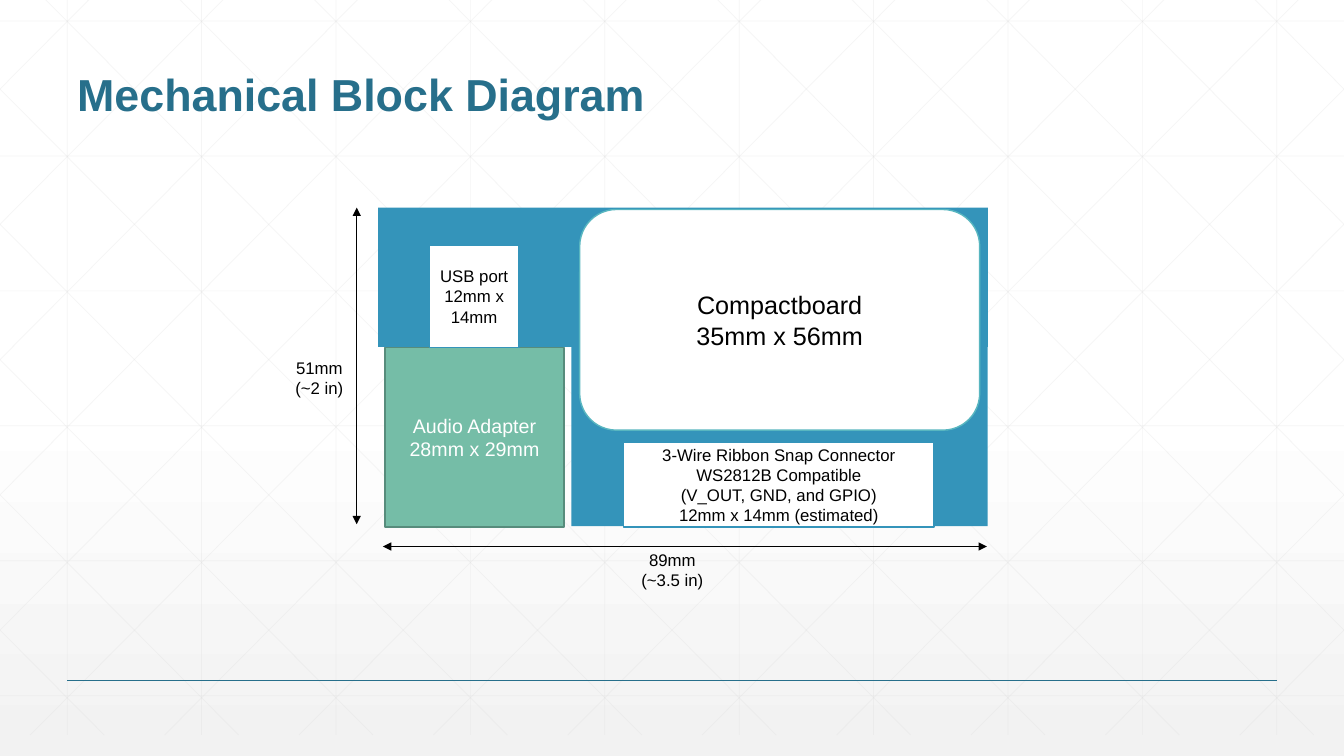
from lxml import etree
from pptx import Presentation
from pptx.dml.color import RGBColor
from pptx.enum import shapes, text
from pptx.oxml import ns
from pptx.util import Cm, Pt

WHITE = RGBColor(0xFF, 0xFF, 0xFF)
BLACK = RGBColor(0, 0, 0)
PALE_GREY = RGBColor(0xF2, 0xF2, 0xF2)
GRID_GREY = RGBColor(0xD9, 0xD9, 0xD9)
TITLE_BLUE = RGBColor(0x27, 0x6F, 0x8B)
BOARD_BLUE = RGBColor(0x34, 0x94, 0xBA)
TEAL = RGBColor(0x58, 0xB6, 0xC0)
GREEN = RGBColor(0x75, 0xBD, 0xA7)
DARK_GREEN = RGBColor(0x57, 0x8C, 0x7C)

WIDTH, HEIGHT = 33.87, 19.05

deck = Presentation()
deck.slide_width, deck.slide_height = Cm(WIDTH), Cm(HEIGHT)
page = deck.slides.add_slide(deck.slide_layouts[5])


def add_line(start, end, color, weight):
    line = page.shapes.add_connector(
        shapes.MSO_CONNECTOR.STRAIGHT, *map(Cm, start + end))
    line.line.color.rgb = color
    line.line.width = Pt(weight)
    etree.SubElement(line.element.spPr, ns.qn("a:effectLst"))
    return line


def write(shape, lines, size, color):
    """Fill a shape with centred paragraphs."""
    frame = shape.text_frame
    frame.word_wrap = True
    frame.text = "\n".join(lines)
    for para in frame.paragraphs:
        para.alignment = text.PP_ALIGN.CENTER
        para.font.name = "Arial"
        para.font.size = Pt(size)
        para.font.color.rgb = color


# Background
fill = page.background.fill
fill.gradient()
fill.gradient_angle = 270
for stop, position, color in zip(fill.gradient_stops, (0.53, 1), (WHITE, PALE_GREY)):
    stop.position = position
    stop.color.rgb = color

# Faint grid: verticals, horizontals, then mirrored diagonals cut at the slide edges
STEP = WIDTH / 10
TOP, BOTTOM = -0.53, 18.52
DIAGONAL_RUN = 18.93
SLOPE = (BOTTOM - TOP) / DIAGONAL_RUN
grid = [((STEP * (i + 0.5), TOP), (STEP * (i + 0.5), BOTTOM)) for i in range(10)]
grid += [((0, 0.53 + 3.4 * i), (WIDTH, 0.53 + 3.4 * i)) for i in range(6)]
for i in range(-5, 10):
    origin = 0.63 + STEP * i
    left, right = max(origin, 0), min(origin + DIAGONAL_RUN, WIDTH)
    upper, lower = (TOP + (x - origin) * SLOPE for x in (left, right))
    grid.append(((left, upper), (right, lower)))
    grid.append(((WIDTH - left, upper), (WIDTH - right, lower)))
for start, end in grid:
    line = add_line(start, end, GRID_GREY, 0.5)
    tint = line.element.spPr.find(".//" + ns.qn("a:srgbClr"))
    etree.SubElement(tint, ns.qn("a:alpha"), val="25000")

add_line((1.69, 17.15), (32.17, 17.15), TITLE_BLUE, 1)

# Title, brought in front of the grid
title = page.shapes.title
page.shapes.element.append(title.element)
title.left, title.top, title.width, title.height = map(Cm, (1.69, 0.64, 30.48, 2.54))
title.text_frame.text = "Mechanical Block Diagram"
title.text_frame.vertical_anchor = text.MSO_ANCHOR.BOTTOM
title.text_frame.auto_size = text.MSO_AUTO_SIZE.NONE
para = title.text_frame.paragraphs[0]
para.alignment = text.PP_ALIGN.LEFT
para.line_spacing = 0.9
span = para.runs[0]
span.font.name = "Arial"
span.font.size = Pt(32)
span.font.bold = True
span.font.color.rgb = TITLE_BLUE

# Board and its parts
RECT = shapes.MSO_SHAPE.RECTANGLE
ROUNDED = shapes.MSO_SHAPE.ROUNDED_RECTANGLE
blocks = [
    (RECT, (9.53, 5.23, 15.37, 3.51), BOARD_BLUE, None, [], 12, BLACK),
    (RECT, (14.4, 8.46, 10.49, 4.8), BOARD_BLUE, None, [], 12, BLACK),
    (ROUNDED, (14.61, 5.28, 10.08, 5.56), WHITE, TEAL,
     ["Compactboard", "35mm x 56mm"], 18, BLACK),
    (RECT, (9.7, 8.76, 4.52, 4.52), GREEN, DARK_GREEN,
     ["Audio Adapter", "28mm x 29mm"], 14, WHITE),
    (RECT, (10.82, 6.17, 2.26, 2.59), WHITE, BOARD_BLUE,
     ["USB port", "12mm x 14mm"], 12, BLACK),
    (RECT, (15.72, 11.15, 7.82, 2.13), WHITE, BOARD_BLUE,
     ["3-Wire Ribbon Snap Connector", "WS2812B Compatible",
      "(V_OUT, GND, and GPIO)", "12mm x 14mm (estimated)"], 12, BLACK),
]
for kind, place, color, edge, lines, size, ink in blocks:
    block = page.shapes.add_shape(kind, *map(Cm, place))
    block.shadow.inherit = False
    block.fill.solid()
    block.fill.fore_color.rgb = color
    if edge is None:
        block.line.fill.background()
    else:
        block.line.color.rgb = edge
        block.line.width = Pt(1)
    if lines:
        block.text_frame.vertical_anchor = text.MSO_ANCHOR.MIDDLE
        write(block, lines, size, ink)

# Dimensions
dimensions = [
    ((9.65, 13.77), (24.87, 13.77), (13.54, 13.72, 6.81, 1.27), ["89mm", "(~3.5 in)"]),
    ((8.99, 5.23), (8.99, 13.21), (7.11, 8.89, 1.88, 1.27), ["51mm", "(~2 in)"]),
]
for start, end, place, lines in dimensions:
    arrow = add_line(start, end, BLACK, 0.5)
    outline = arrow.element.spPr.find(ns.qn("a:ln"))
    for tip in ("a:headEnd", "a:tailEnd"):
        etree.SubElement(outline, ns.qn(tip), type="triangle")
    box = page.shapes.add_textbox(*map(Cm, place))
    write(box, lines, 12, BLACK)
    box.text_frame.auto_size = text.MSO_AUTO_SIZE.SHAPE_TO_FIT_TEXT

deck.save("out.pptx")
